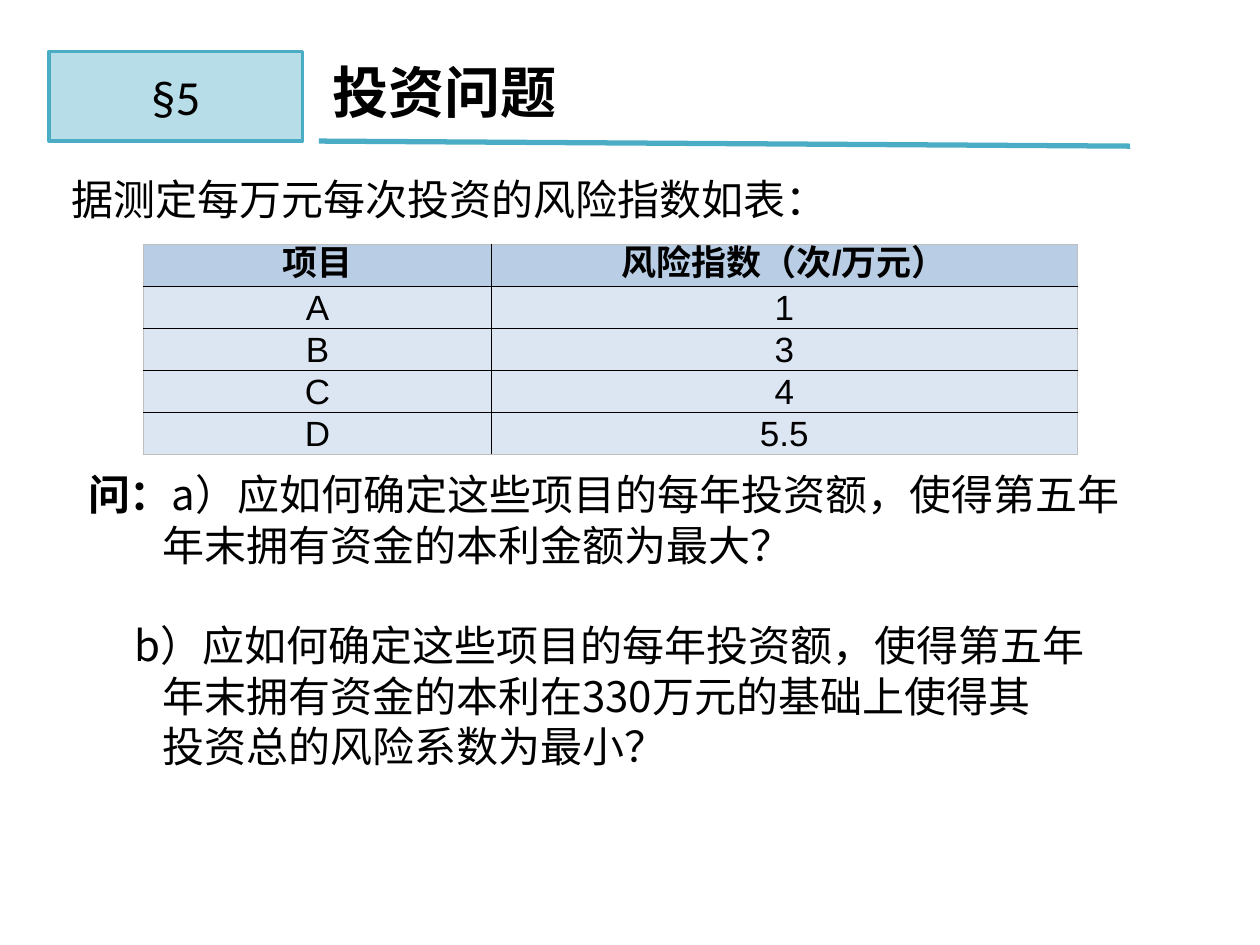
from dataclasses import dataclass

import pptx
import pptx.dml.color
import pptx.enum.shapes
import pptx.enum.text
import pptx.oxml
import pptx.oxml.ns
import pptx.util
from pptx.util import Inches

Align = pptx.enum.text.PP_ALIGN
Anchor = pptx.enum.text.MSO_ANCHOR
qn = pptx.oxml.ns.qn


@dataclass(frozen=True)
class Theme:
    ink: str = "000000"
    accent: str = "4BACC6"
    badge: str = "B7DEE8"
    head: str = "B9CDE5"
    cell: str = "DCE6F2"
    frame: str = "BFBFBF"
    cjk: str = "Noto Sans CJK SC"
    latin: str = "Calibri"
    grid: str = "Arial"
    title: int = 32
    label: int = 28
    body: int = 24
    small: int = 20
    pitch: float = 28.8
    row: float = 23


@dataclass(frozen=True)
class Line:
    text: str
    left: float
    lead: str = ""
    before: float = 0


THEME = Theme()


def rgb(code: str) -> pptx.dml.color.RGBColor:
    return pptx.dml.color.RGBColor.from_string(code)


def write(para, text: str, *, size: int, font: str = THEME.cjk,
          bold: bool = False, align=None) -> None:
    """Add one formatted run to a paragraph."""
    if align is not None:
        para.alignment = align
    run = para.add_run()
    run.text = text
    run.font.size = pptx.util.Pt(size)
    run.font.bold = bold
    run.font.name = font
    run.font.color.rgb = rgb(THEME.ink)
    if font == THEME.cjk:
        east = pptx.oxml.parse_xml(
            f'<a:ea xmlns:a="{pptx.oxml.ns.nsuri("a")}" typeface="{font}"/>')
        run.font._element.find(qn("a:latin")).addnext(east)


def add_box(slide, left: float, top: float, width: float, height: float):
    box = slide.shapes.add_textbox(
        Inches(left), Inches(top), Inches(width), Inches(height))
    box.text_frame.word_wrap = True
    return box.text_frame


def add_lines(frame, lines: list[Line]) -> None:
    """Fill a frame with paragraphs at a fixed pitch, each with its margin."""
    for i, line in enumerate(lines):
        para = frame.add_paragraph() if i else frame.paragraphs[0]
        para.line_spacing = pptx.util.Pt(THEME.pitch)
        para.space_before = pptx.util.Pt(line.before)
        para._p.get_or_add_pPr().set("marL", str(Inches(line.left)))
        if line.lead:
            write(para, line.lead, size=THEME.body, bold=True)
        write(para, line.text, size=THEME.body)


def set_edge(cell, side: str, inner: bool) -> None:
    """Draw one border, fainter outside; call in the order L, R, T, B."""
    color, width = (THEME.ink, 1) if inner else (THEME.frame, 0.5)
    cell._tc.get_or_add_tcPr().append(pptx.oxml.parse_xml(
        f'<a:ln{side} xmlns:a="{pptx.oxml.ns.nsuri("a")}" '
        f'w="{pptx.util.Pt(width)}"><a:solidFill><a:srgbClr val="{color}"/>'
        f'</a:solidFill></a:ln{side}>'))


def add_grid(slide, rows: list[tuple[str, str]], widths: list[float],
             left: float, top: float, height: float) -> None:
    count = len(rows)
    table = slide.shapes.add_table(
        count, len(widths), Inches(left), Inches(top),
        Inches(sum(widths)), Inches(height)).table
    for col, width in zip(table.columns, widths):
        col.width = Inches(width)
    for r, row in enumerate(rows):
        for c, text in enumerate(row):
            cell = table.cell(r, c)
            cell.margin_left = cell.margin_right = 0
            cell.margin_top = cell.margin_bottom = 0
            cell.vertical_anchor = Anchor.MIDDLE
            para = cell.text_frame.paragraphs[0]
            # Fixed pitch keeps tall glyphs inside the row
            para.line_spacing = pptx.util.Pt(THEME.row)
            write(para, text, size=THEME.small, font=THEME.grid,
                  bold=r == 0, align=Align.CENTER)
            edges = {"L": c > 0, "R": c < len(widths) - 1,
                     "T": r > 0, "B": r < count - 1}
            for side, inner in edges.items():
                set_edge(cell, side, inner)
            cell.fill.solid()
            cell.fill.fore_color.rgb = rgb(THEME.cell if r else THEME.head)


def add_badge(slide, text: str) -> None:
    badge = slide.shapes.add_shape(
        pptx.enum.shapes.MSO_SHAPE.RECTANGLE,
        Inches(0.39), Inches(0.41), Inches(2.01), Inches(0.71))
    badge.shadow.inherit = False
    badge.fill.solid()
    badge.fill.fore_color.rgb = rgb(THEME.badge)
    badge.line.color.rgb = rgb(THEME.accent)
    badge.line.width = pptx.util.Pt(2)
    badge.text_frame.vertical_anchor = Anchor.MIDDLE
    write(badge.text_frame.paragraphs[0], text, size=THEME.label,
          font=THEME.latin, align=Align.CENTER)


def add_rule(slide) -> None:
    rule = slide.shapes.add_connector(
        pptx.enum.shapes.MSO_CONNECTOR.STRAIGHT,
        Inches(2.53), Inches(1.12), Inches(8.97), Inches(1.16))
    rule.line.color.rgb = rgb(THEME.accent)
    rule.line.width = pptx.util.Pt(3)
    rule._element.spPr.append(pptx.oxml.parse_xml(
        f'<a:effectLst xmlns:a="{pptx.oxml.ns.nsuri("a")}"/>'))


def main() -> None:
    deck = pptx.Presentation()
    deck.slide_width, deck.slide_height = Inches(10), Inches(7.5)
    slide = deck.slides.add_slide(deck.slide_layouts[6])

    # Questions
    add_lines(add_box(slide, 0.6, 3.67, 8.55, 2.52), [
        Line("a）应如何确定这些项目的每年投资额，使得第五年", 0, lead="问："),
        Line("年末拥有资金的本利金额为最大？", 0.59),
        Line("b）应如何确定这些项目的每年投资额，使得第五年", 0.37,
             before=THEME.pitch),
        Line("年末拥有资金的本利在330万元的基础上使得其", 0.59),
        Line("投资总的风险系数为最小？", 0.59),
    ])

    # Lead sentence
    add_lines(add_box(slide, 0.47, 1.33, 6.88, 0.51),
              [Line("据测定每万元每次投资的风险指数如表：", 0)])

    # Heading
    add_badge(slide, "§5")
    add_rule(slide)
    title = add_box(slide, 2.54, 0.41, 7.36, 0.64)
    write(title.paragraphs[0], "投资问题", size=THEME.title, bold=True)

    # Risk table
    add_grid(slide, [("项目", "风险指数（次/万元）"), ("A", "1"), ("B", "3"),
                     ("C", "4"), ("D", "5.5")],
             widths=[2.76, 4.65], left=1.14, top=1.94, height=1.67)

    deck.save("out.pptx")


if __name__ == "__main__":
    main()
